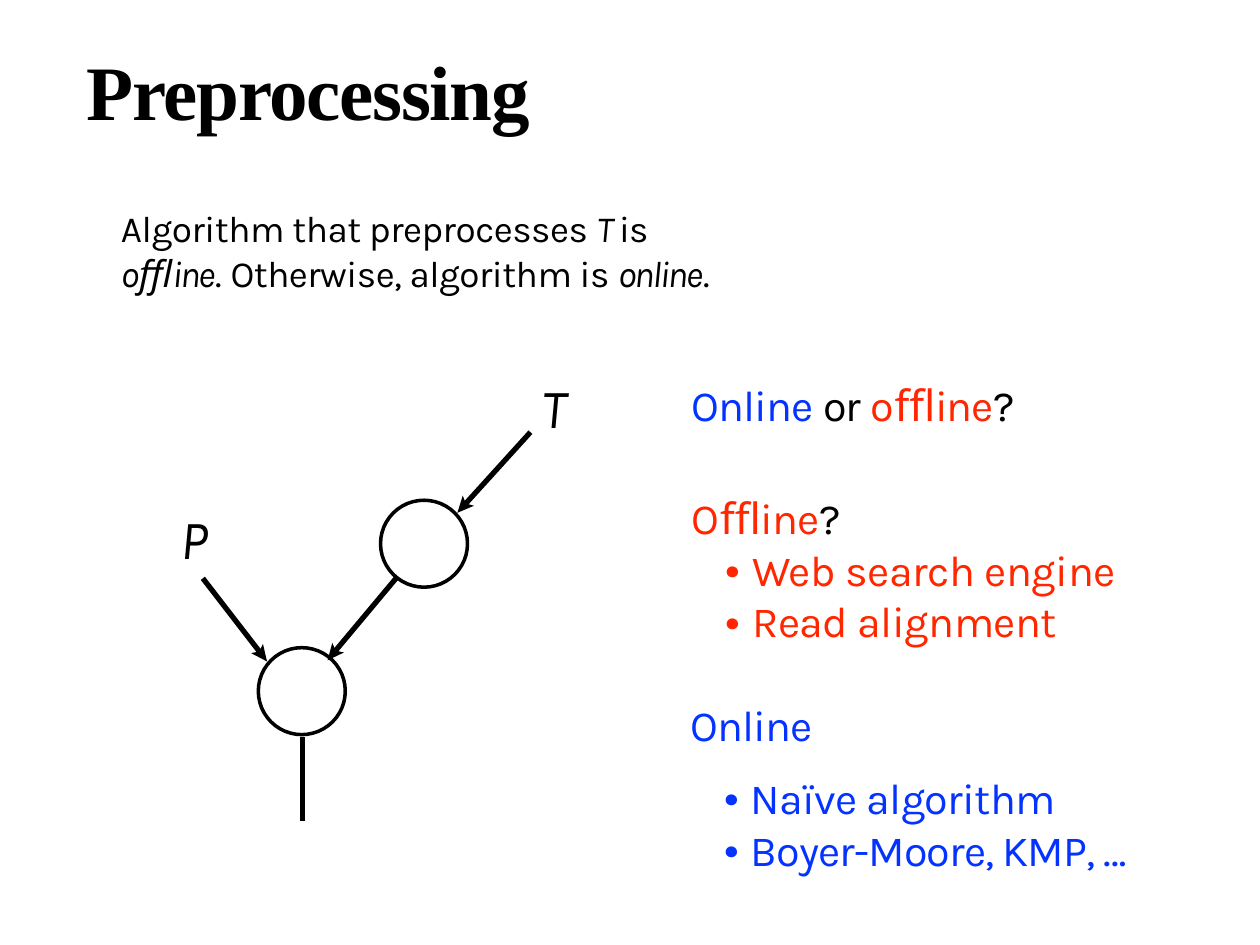
import math

from pptx import Presentation
from pptx import util as u
from pptx.dml.color import RGBColor
from pptx.enum import shapes, text
from pptx.oxml.ns import qn
from lxml import etree

COLORS = {"black": "000000", "white": "FFFFFF", "blue": "0433FF", "red": "FF2600"}


def rgb(name):
    return RGBColor.from_string(COLORS[name])


class SlideBuilder:
    """Holds the style and the current slide."""

    body_font = "Karla"
    title_font = "Times New Roman"

    def __init__(self, slide):
        self.slide = slide

    def frame(self, shape, top_inset):
        frame = shape.text_frame
        frame.word_wrap = True
        frame.auto_size = text.MSO_AUTO_SIZE.SHAPE_TO_FIT_TEXT
        frame.margin_left = frame.margin_right = frame.margin_bottom = 0
        frame.margin_top = u.Inches(top_inset)
        frame.paragraphs[0]._p.get_or_add_pPr().set("marL", str(u.Inches(0.01)))
        return frame

    def run(self, paragraph, words, size, color="black", spacing=0, italic=False, font=None):
        run = paragraph.add_run()
        run.text = words
        run.font.name = font or self.body_font
        run.font.size = u.Pt(size)
        run.font.italic = italic
        run.font.color.rgb = rgb(color)
        run.font._element.set("spc", str(round(spacing * 100)))
        return run

    def title(self, words, left, top, width, height):
        title = self.slide.shapes.title
        title.left, title.top, title.width, title.height = map(
            u.Inches, (left, top, width, height))
        frame = self.frame(title, 0.01)
        frame.vertical_anchor = text.MSO_ANCHOR.MIDDLE
        heading = frame.paragraphs[0]
        heading.alignment = text.PP_ALIGN.LEFT
        self.run(heading, words, 44, spacing=-0.8, font=self.title_font).font.bold = True

    def text(self, left, top, width, height, runs, size, top_inset=0.01, line_spacing=None):
        box = self.slide.shapes.add_textbox(*map(u.Inches, (left, top, width, height)))
        frame = self.frame(box, top_inset)
        first = frame.paragraphs[0]
        if line_spacing:
            first.line_spacing = line_spacing
        for words, *style in runs:
            self.run(first, words, size, *style)
        return frame

    def bullets(self, frame, items, size, color, gap=0):
        for index, (words, spacing) in enumerate(items):
            paragraph = frame.add_paragraph()
            props = paragraph._p.get_or_add_pPr()
            props.set("marL", str(u.Inches(0.49)))
            props.set("indent", str(u.Inches(-0.21)))
            etree.SubElement(props, qn("a:buSzPct")).set("val", "124000")
            etree.SubElement(props, qn("a:buFont")).set("typeface", self.body_font)
            etree.SubElement(props, qn("a:buChar")).set("char", "•")
            if index == 0 and gap:
                paragraph.space_before = u.Pt(gap)
            self.run(paragraph, words, size, color, spacing)

    def circle(self, left, top, diameter):
        circle = self.slide.shapes.add_shape(
            shapes.MSO_SHAPE.OVAL, *map(u.Inches, (left, top, diameter, diameter)))
        circle.shadow.inherit = False
        circle.fill.solid()
        circle.fill.fore_color.rgb = rgb("white")
        circle.line.color.rgb = rgb("black")
        circle.line.width = u.Pt(2)

    def line(self, start, end):
        line = self.slide.shapes.add_connector(
            shapes.MSO_CONNECTOR.STRAIGHT, *map(u.Inches, start + end))
        line.line.color.rgb = rgb("black")
        line.line.width = u.Pt(3)
        etree.SubElement(line._element.spPr, qn("a:effectLst"))

    def arrow(self, start, tip):
        """A line that ends in the notch of a swept-back head."""
        length = math.dist(start, tip)
        dx, dy = ((b - a) / length for a, b in zip(start, tip))

        def behind(back, side=0):
            return tip[0] - back * dx - side * dy, tip[1] - back * dy + side * dx

        notch = behind(0.1)
        self.line(start, notch)
        points = [tuple(map(u.Inches, point))
                  for point in (tip, behind(0.13, 0.06), notch, behind(0.13, -0.06))]
        builder = self.slide.shapes.build_freeform(*points[0])
        builder.add_line_segments(points[1:], close=True)
        head = builder.convert_to_shape()
        head.shadow.inherit = False
        head.fill.solid()
        head.fill.fore_color.rgb = rgb("black")
        head.line.fill.background()


def main():
    deck = Presentation()
    deck.slide_width, deck.slide_height = u.Inches(10), u.Inches(7.5)
    page = SlideBuilder(deck.slides.add_slide(deck.slide_layouts[5]))

    # Title and definition
    page.title("Preprocessing", 0.68, 0.33, 4.21, 0.75)
    page.text(0.95, 1.62, 4.82, 0.71, [
        ("Algorithm that preprocesses ", "black", -0.28),
        ("T ", "black", -1.1, True),
        ("is ", "black", -0.6),
        ("o", "black", -0.3, True),
        ("ﬄ", "black", -1.9, True),
        ("ine", "black", -1.2, True),
        (". ", "black", 0),
        ("Otherwise, algorithm is ", "black", -0.3),
        ("online", "black", -1.1, True),
        (".", "black", -3.4),
    ], 21.1, top_inset=0, line_spacing=1.03)

    # Flow of T and P into the nodes
    page.line((2.4, 5.85), (2.4, 6.52))
    page.circle(2.05, 5.14, 0.69)
    page.arrow((3.16, 4.57), (2.6, 5.24))
    page.arrow((1.61, 4.59), (2.12, 5.25))
    page.circle(3.02, 3.97, 0.69)
    page.arrow((4.21, 3.43), (3.63, 4.07))
    page.text(4.29, 2.95, 0.23, 0.54, [("T", "black", -3.4, True)], 31.6)
    page.text(1.42, 3.99, 0.24, 0.54, [("P", "black", -1.2, True)], 31.6)

    # Question and answers
    size, width, inset = 24.6, 4.05, 0.07
    offline_end = [("ﬄ", "red", -2.6), ("ine", "red", -0.7), ("?", "black", 0.9)]
    page.text(5.48, 2.93, width, 0.49, [
        ("Online ", "blue", -0.5),
        ("or ", "black", -0.6),
        ("o", "red", 0.3),
        *offline_end,
    ], size, inset)
    offline = page.text(5.48, 3.83, width, 1.32, [("O", "red", 0.3), *offline_end], size, inset)
    page.bullets(offline, [("Web search engine", -0.25), ("Read alignment", -0.28)], size, "red")
    online = page.text(5.47, 5.47, width, 1.49, [("Online", "blue", -0.5)], size, inset)
    page.bullets(online, [("Naïve algorithm", -0.4), ("Boyer-Moore, KMP, …", -0.5)],
                 size, "blue", gap=12.4)

    deck.save("out.pptx")


if __name__ == "__main__":
    main()
